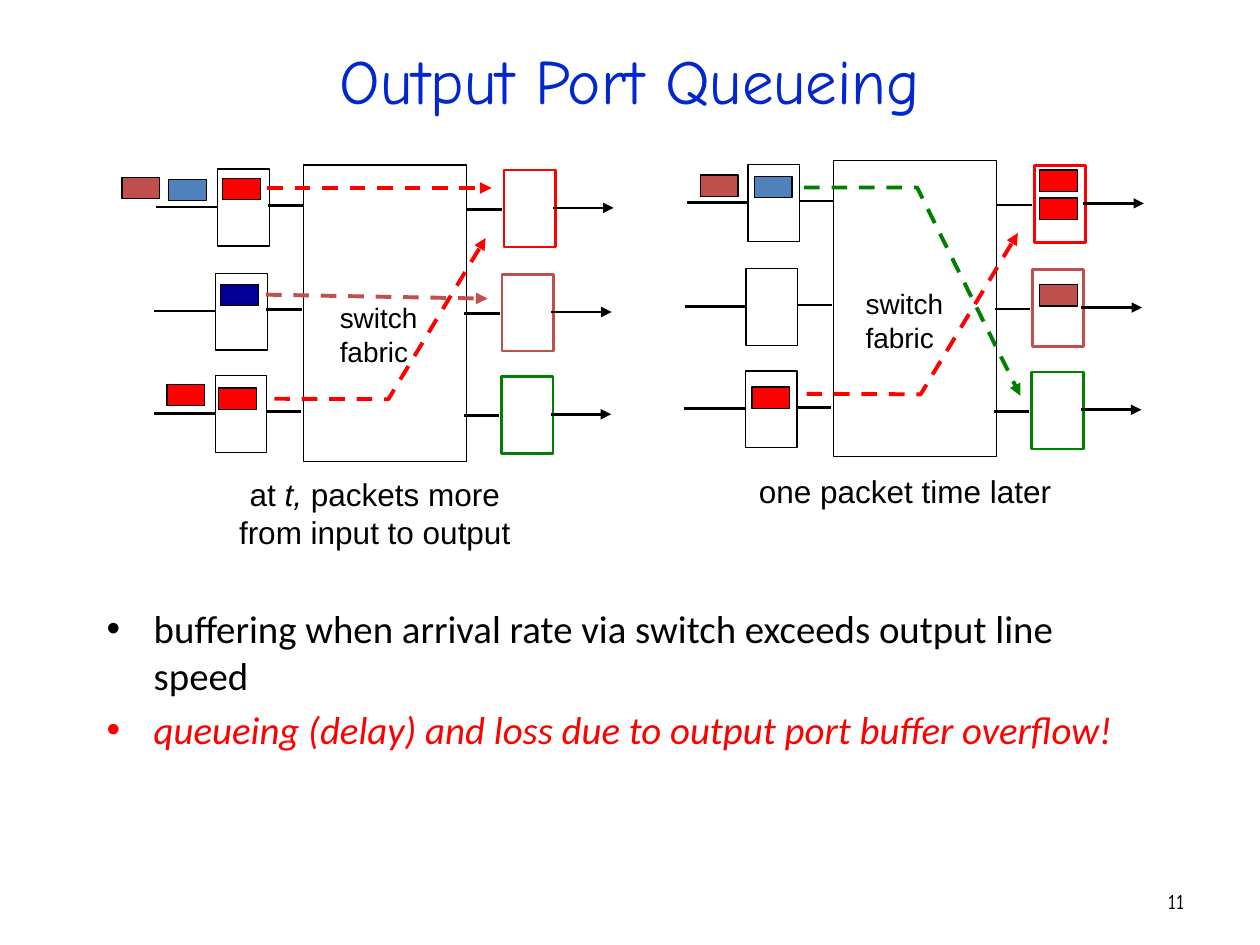
from dataclasses import dataclass
from pptx import Presentation
from pptx.dml.color import RGBColor as RGB
from pptx.enum.dml import MSO_LINE as Dash
from pptx.enum.shapes import MSO_CONNECTOR as Link, MSO_SHAPE as Shape
from pptx.enum.text import MSO_ANCHOR as Anchor, PP_ALIGN as Align
from pptx.oxml.ns import qn
from pptx.util import Cm, Pt
from lxml.etree import SubElement as Sub


@dataclass(frozen=True)
class Theme:
    black: str = "000000"
    white: str = "FFFFFF"
    title: str = "0227CE"
    red: str = "FF0000"
    rust: str = "C0504D"
    green: str = "008000"
    blue: str = "4F81BD"
    navy: str = "000099"
    head: str = "Comic Neue"
    body: str = "Calibri"
    label: str = "Arial"
    big: float = 36
    list: float = 22.2
    note: float = 18
    small: float = 16
    tiny: float = 12
    thin: float = 0.75
    mid: float = 1.5
    thick: float = 2.25


class Board:
    def __init__(self, slide, theme):
        self.slide, self.theme = slide, theme
        self.dx = self.dy = 0

    def move(self, dx=0, dy=0):
        """Shift everything drawn from here on, in cm."""
        self.dx, self.dy = dx, dy

    def spot(self, x, y):
        return Cm(x + self.dx), Cm(y + self.dy)

    def stroke(self, item, color, width, dash=False, arrow=False):
        item.line.color.rgb = RGB.from_string(color)
        item.line.width = Pt(width)
        if dash:
            item.line.dash_style = Dash.DASH
        if arrow:
            Sub(item.line._get_or_add_ln(), qn("a:tailEnd"), type="triangle")

    def rect(self, x, y, w, h, fill, color, width):
        box = self.slide.shapes.add_shape(
            Shape.RECTANGLE, *self.spot(x, y), Cm(w), Cm(h))
        box.shadow.inherit = False
        box.fill.solid()
        box.fill.fore_color.rgb = RGB.from_string(fill)
        self.stroke(box, color, width)

    def port(self, x, y, color, width):
        self.rect(x, y, 1.04, 1.55, self.theme.white, color, width)

    def packet(self, x, y, fill):
        self.rect(x, y, 0.76, 0.43, fill, self.theme.black, self.theme.thin)

    def line(self, start, end, color, width, dash=False, arrow=False):
        wire = self.slide.shapes.add_connector(
            Link.STRAIGHT, *self.spot(*start), *self.spot(*end))
        Sub(wire._element.spPr, qn("a:effectLst"))
        self.stroke(wire, color, width, dash, arrow)

    def route(self, points, color):
        first, *rest = [self.spot(*p) for p in points]
        pen = self.slide.shapes.build_freeform(*first)
        pen.add_line_segments(rest, close=False)
        bend = pen.convert_to_shape()
        bend.shadow.inherit = False
        bend.fill.background()
        self.stroke(bend, color, self.theme.thick, True, True)

    def text(self, at, paras, font, size, color=None, align=Align.LEFT,
             anchor=Anchor.TOP, wrap=True):
        """Each paragraph is a list of (words, italic) runs or a plain string."""
        x, y, w, h = at
        box = self.slide.shapes.add_textbox(*self.spot(x, y), Cm(w), Cm(h))
        frame = box.text_frame
        frame.word_wrap, frame.vertical_anchor = wrap, anchor
        for i, runs in enumerate(paras):
            para = frame.paragraphs[0] if i == 0 else frame.add_paragraph()
            para.alignment = align
            para.font.name, para.font.size = font, Pt(size)
            para.font.color.rgb = RGB.from_string(color or self.theme.black)
            for words, slant in [(runs, None)] if isinstance(runs, str) else runs:
                run = para.add_run()
                run.text, run.font.italic = words, slant
        return frame.paragraphs

    def bullet(self, para):
        para.space_before = Pt(4.4)
        props = para._p.get_or_add_pPr()
        props.set("marL", str(Cm(0.95)))
        props.set("indent", str(-Cm(0.95)))
        Sub(props, qn("a:buFont"), typeface="Arial")
        Sub(props, qn("a:buChar"), char="•")

    def switch(self):
        """Fabric with three input ports, three output ports and their wires."""
        t = self.theme
        self.rect(6.12, 3.33, 3.28, 5.97, t.white, t.black, t.thin)
        rows = [(0, 0, t.red), (-0.04, 2.1, t.rust), (-0.05, 4.16, t.green)]
        for dx, dy, color in rows:
            self.port(4.39 + dx, 3.41 + dy, t.black, t.thin)
            self.port(10.16 + dx, 3.43 + dy, color, t.mid)
            wires = [(3.15, 4.39, 4.17), (5.41, 6.12, 4.14),
                     (9.4, 10.11, 4.22), (11.15, 12.37, 4.19)]
            for left, right, y in wires:
                self.line((left + dx, y + dy), (right + dx, y + dy),
                          t.black, t.mid, arrow=left > 11)


def main():
    t = Theme()
    deck = Presentation()
    deck.slide_width, deck.slide_height = Cm(25.4), Cm(19.05)
    board = Board(deck.slides.add_slide(deck.slide_layouts[6]), t)

    # Title and bullets
    board.text((1.9, 0, 21.6, 3.18), ["Output Port Queueing"], t.head, t.big,
               t.title, Align.CENTER, Anchor.MIDDLE)
    points = board.text((1.9, 12.07, 21.6, 2.82), [
        "buffering when arrival rate via switch exceeds output line speed",
        "queueing (delay) and loss due to output port buffer overflow!",
    ], t.body, t.list)
    for para in points:
        board.bullet(para)
    points[1].font.italic = True
    points[1].font.color.rgb = RGB.from_string(t.red)

    # Switch at time t
    board.switch()
    for x, y, fill in [(2.46, 3.58, t.rust), (3.4, 3.62, t.blue),
                       (4.49, 3.6, t.red), (4.45, 5.73, t.navy),
                       (3.37, 7.75, t.red), (4.41, 7.82, t.red)]:
        board.packet(x, y, fill)
    board.line((5.39, 3.79), (9.91, 3.79), t.red, t.thick, True, True)
    board.line((5.36, 5.94), (9.83, 6.02), t.rust, t.thick, True, True)
    climb = [(5.53, 8.04), (7.83, 8.05), (9.79, 4.8)]
    board.route(climb, t.red)
    fabric = ["switch", "fabric"]
    board.text((6.6, 5.94, 2.08, 1.63), fabric, t.label, t.small, wrap=False)
    board.text((4.14, 9.45, 6.83, 1.78), [
        [("at ", None), ("t,", True), (" packets more", None)],
        "from input to output",
    ], t.label, t.note, align=Align.CENTER)

    # Switch one packet time later
    board.move(10.69, -0.09)
    board.switch()
    for x, y, fill in [(3.43, 3.62, t.rust), (4.52, 3.65, t.blue),
                       (4.47, 7.89, t.red), (10.27, 3.52, t.red),
                       (10.27, 4.08, t.red), (10.27, 5.83, t.rust)]:
        board.packet(x, y, fill)
    board.move(10.73, -0.1)
    board.route(climb, t.red)
    board.move()
    board.route([(16.21, 3.78), (18.49, 3.78), (20.57, 7.98)], t.green)
    board.text((17.2, 5.66, 2.08, 1.63), fabric, t.label, t.small, wrap=False)
    board.text((14.83, 9.4, 6.83, 1.02), ["one packet time later"],
               t.label, t.note, align=Align.CENTER)

    # Slide number
    board.text((18.2, 17.65, 5.93, 1.02), ["11"], t.head, t.tiny,
               align=Align.RIGHT, anchor=Anchor.MIDDLE)
    deck.save("out.pptx")


if __name__ == "__main__":
    main()
